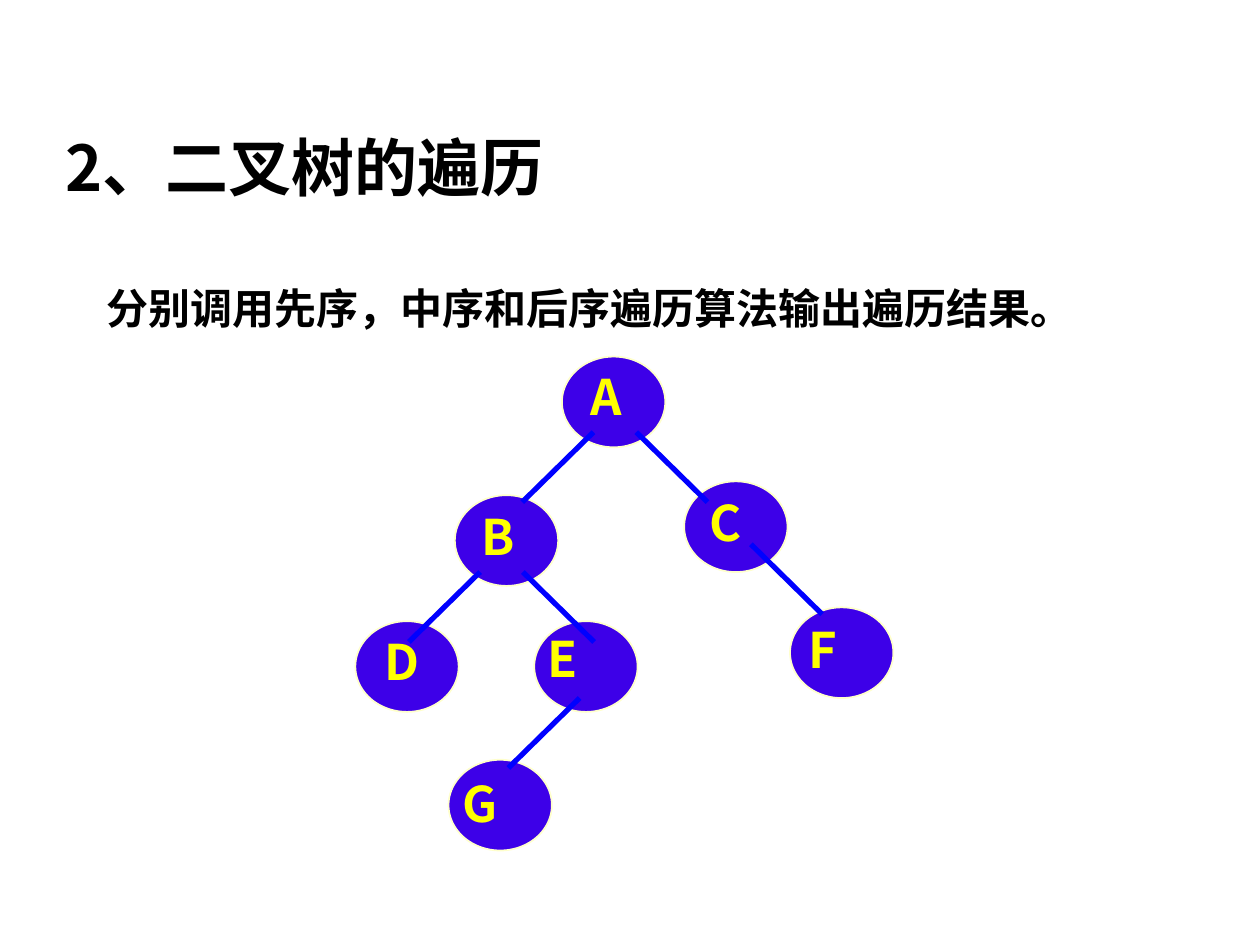
from pptx import Presentation
from pptx.dml.color import RGBColor
from pptx.enum.shapes import MSO_CONNECTOR, MSO_SHAPE
from pptx.enum.text import MSO_ANCHOR
from pptx.oxml.ns import qn
from pptx.util import Inches, Pt
from lxml.etree import SubElement

COLORS = {
    "text": "000000",
    "node": "3D00E8",
    "outline": "FFFFCC",
    "letter": "FFFF00",
    "edge": "0000FF",
}
COLORS = {name: RGBColor.from_string(value) for name, value in COLORS.items()}

presentation = Presentation()
presentation.slide_width = Inches(10)
presentation.slide_height = Inches(7.5)
slide = presentation.slides.add_slide(presentation.slide_layouts[6])

# The slide is a grid of 100 columns and 75 rows.
COLUMN = presentation.slide_width / 100
ROW = presentation.slide_height / 75


def place(column, row, columns, rows):
    """Turn grid units into left, top, width and height."""
    return (round(column * COLUMN), round(row * ROW),
            round(columns * COLUMN), round(rows * ROW))


def add_text(text, area, size, color, font="Noto Sans CJK SC"):
    """Add a bold, left-aligned line of text and return its box."""
    box = slide.shapes.add_textbox(*place(*area))
    box.text_frame.word_wrap = True
    paragraph = box.text_frame.paragraphs[0]
    paragraph.text = text
    paragraph.font.name = font
    paragraph.font.size = Pt(size)
    paragraph.font.bold = True
    paragraph.font.color.rgb = COLORS[color]
    return box


title = add_text("2、二叉树的遍历", (4.2, 10, 64.2, 6.7), 36, "text")
title.text_frame.vertical_anchor = MSO_ANCHOR.BOTTOM

task = add_text("分别调用先序，中序和后序遍历算法输出遍历结果。",
                (7.5, 21.7, 80.8, 5.2), 24, "text", "Arial")
task.text_frame.paragraphs[0].line_spacing = 1.05

# Letter, column and row of the node, offset of the letter's box in the node
NODES = [
    ("A", 44.6, 28.3, 1.3, 0.3),
    ("B", 36.1, 39.3, 1.1, 0.4),
    ("C", 54.3, 38.2, 1.0, 0.4),
    ("D", 28.2, 49.3, 1.3, 0.3),
    ("E", 42.4, 49.3, 0.1, 0.1),
    ("F", 62.7, 48.2, 0.5, 0.5),
    ("G", 35.6, 60.3, 0.1, 0.6),
]
NODE_COLUMNS, NODE_ROWS = 8.2, 7.2
for letter, column, row, shift_right, shift_down in NODES:
    node = slide.shapes.add_shape(
        MSO_SHAPE.OVAL, *place(column, row, NODE_COLUMNS, NODE_ROWS))
    node.shadow.inherit = False
    node.fill.solid()
    node.fill.fore_color.rgb = COLORS["node"]
    node.line.color.rgb = COLORS["outline"]
    node.line.width = Pt(1)
    add_text(letter, (column + shift_right, row + shift_down, 7.9, 5.7),
             28, "letter")

# Upper end of each edge, and 1 or -1 for a right or left child
EDGES = [
    (50.5, 34.3, 1),
    (47.1, 34.3, -1),
    (41.5, 45.4, 1),
    (38.1, 45.4, -1),
    (59.6, 43.2, 1),
    (46.0, 55.4, -1),
]
EDGE_COLUMNS, EDGE_ROWS = 5.65, 5.55
for column, row, direction in EDGES:
    left, top, width, height = place(column, row, EDGE_COLUMNS, EDGE_ROWS)
    edge = slide.shapes.add_connector(
        MSO_CONNECTOR.STRAIGHT, left, top, left + direction * width, top + height)
    edge.line.color.rgb = COLORS["edge"]
    edge.line.width = Pt(3)
    SubElement(edge._element.spPr, qn("a:effectLst"))

presentation.save("out.pptx")
